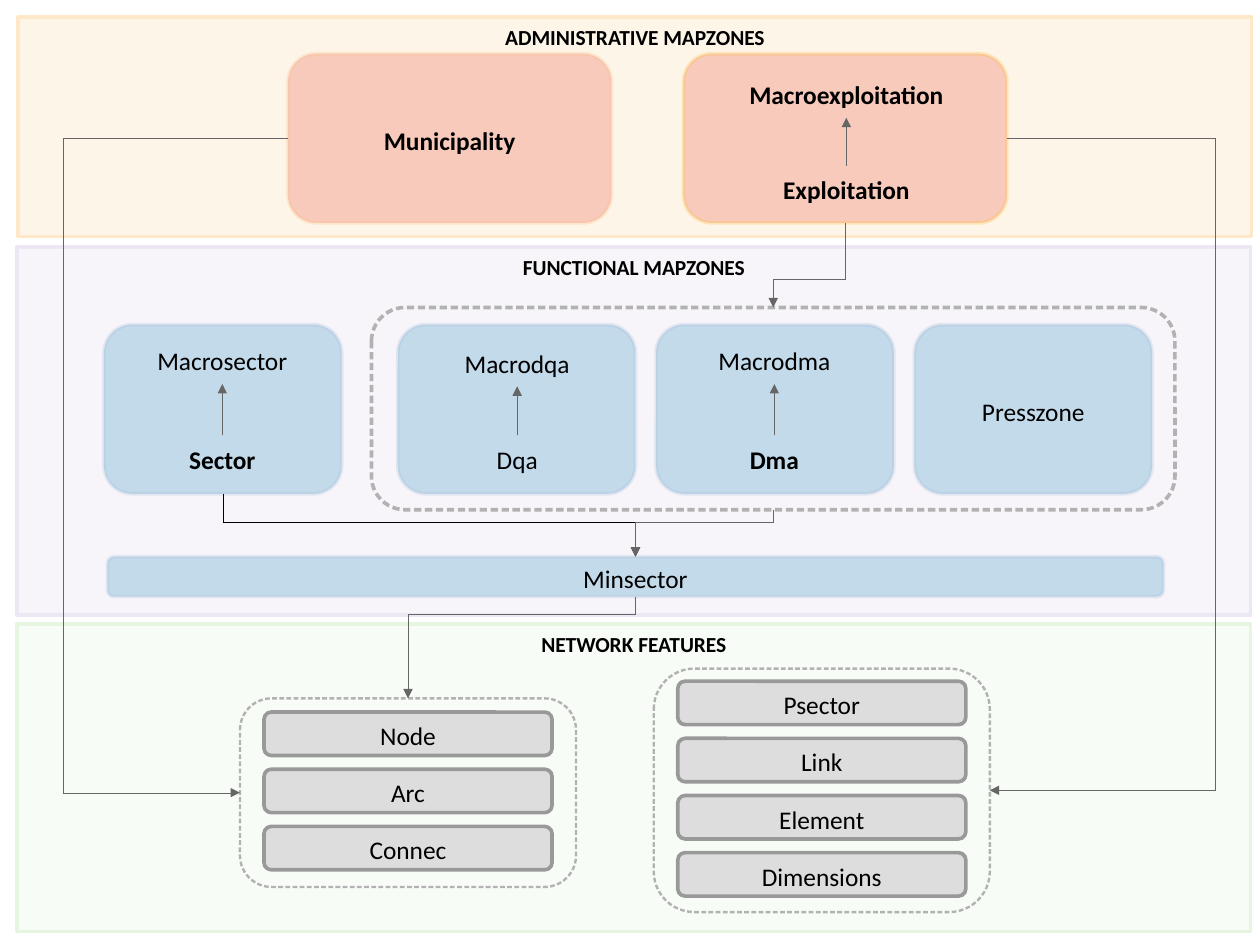
from lxml import etree
from pptx import Presentation
from pptx.dml.color import RGBColor
from pptx.enum.shapes import MSO_CONNECTOR, MSO_SHAPE
from pptx.enum.text import MSO_ANCHOR, PP_ALIGN
from pptx.oxml.ns import qn
from pptx.util import Inches, Pt

RECTANGLE, ROUNDED = MSO_SHAPE.RECTANGLE, MSO_SHAPE.ROUNDED_RECTANGLE
STRAIGHT, ELBOW = MSO_CONNECTOR.STRAIGHT, MSO_CONNECTOR.ELBOW
TOP, MIDDLE, CENTER = MSO_ANCHOR.TOP, MSO_ANCHOR.MIDDLE, PP_ALIGN.CENTER
TOP_SIDE, LEFT_SIDE, BOTTOM_SIDE, RIGHT_SIDE = range(4)

BLACK = RGBColor(0x00, 0x00, 0x00)
ARROW_GREY = RGBColor(0x66, 0x66, 0x66)
FRAME_GREY = RGBColor(0xB2, 0xB2, 0xB2)
FEATURE_FILL = RGBColor(0xDD, 0xDD, 0xDD)
FEATURE_LINE = RGBColor(0x99, 0x99, 0x99)
GREEN = RGBColor(0xE5, 0xF5, 0xE0)
CREAM = RGBColor(0xFE, 0xE8, 0xC8)
LILAC = RGBColor(0xEC, 0xE7, 0xF2)
RED = RGBColor(0xE3, 0x4A, 0x33)
ORANGE = RGBColor(0xFD, 0xBB, 0x84)
AMBER = RGBColor(0xFD, 0xBB, 0x33)
BLUE = RGBColor(0x2B, 0x8C, 0xBE)
PALE_BLUE = RGBColor(0xA6, 0xBD, 0xDB)

deck = Presentation()
deck.slide_width = Inches(28 / 2.54)
deck.slide_height = Inches(21 / 2.54)
page = deck.slides.add_slide(deck.slide_layouts[6])


def add_box(kind, place, fill, line, fill_alpha=100, line_alpha=100, width=2.3):
    box = page.shapes.add_shape(kind, *[Inches(length) for length in place])
    box.shadow.inherit = False
    box.text_frame.margin_top = Inches(0.08)
    box.line.color.rgb = line
    box.line.width = Pt(width)
    properties = box._element.spPr
    outline = properties.find(qn("a:ln"))
    if fill is None:
        box.fill.background()
        dashes = etree.SubElement(outline, qn("a:custDash"))
        dash = etree.SubElement(dashes, qn("a:ds"))
        dash.set("d", "200000")
        dash.set("sp", "100000")
    else:
        box.fill.solid()
        box.fill.fore_color.rgb = fill
    for parent, alpha in ((properties, fill_alpha), (outline, line_alpha)):
        if alpha < 100:
            color = parent.find(qn("a:solidFill")).find(qn("a:srgbClr"))
            etree.SubElement(color, qn("a:alpha")).set("val", str(alpha * 1000))
    return box


def write(box, text, size=16, bold=False, anchor=MIDDLE):
    frame = box.text_frame
    frame.word_wrap = anchor == MIDDLE
    frame.vertical_anchor = anchor
    para = frame.paragraphs[0]
    para.alignment = CENTER
    span = para.add_run()
    span.text = text
    span.font.name = "Calibri"
    span.font.size = Pt(size)
    span.font.bold = bold
    span.font.color.rgb = BLACK


bands = [
    ("NETWORK FEATURES", 0.15, 5.46, 2.69, GREEN, 25),
    ("ADMINISTRATIVE MAPZONES", 0.16, 0.15, 1.92, CREAM, 40),
    ("FUNCTIONAL MAPZONES", 0.15, 2.16, 3.22, LILAC, 40),
]
for heading, left, top, height, color, alpha in bands:
    band = add_box(RECTANGLE, (left, top, 10.79, height), color, color, alpha)
    band.text_frame.margin_top = Inches(0.06)
    write(band, heading, 13.5, True, TOP)

municipality = add_box(ROUNDED, (2.52, 0.47, 2.83, 1.48), RED, ORANGE, 25, 25)
write(municipality, "Municipality", bold=True)
exploitation = add_box(ROUNDED, (5.98, 0.47, 2.83, 1.48), RED, AMBER, 25, 25)
minsector = add_box(ROUNDED, (0.94, 4.87, 9.24, 0.35), BLUE, PALE_BLUE, 25, 25)
write(minsector, "Minsector")
sector, dqa, dma, presszone = [
    add_box(ROUNDED, (left, 2.84, 2.08, 1.48), BLUE, PALE_BLUE, 25, 25)
    for left in (0.91, 3.48, 5.74, 8)
]
write(presszone, "Presszone")
zone_frame = add_box(ROUNDED, (3.25, 2.69, 7.03, 1.77), None, FRAME_GREY)

routes = []
pairs = [
    (6.1, 2.61, ("Macroexploitation", 0.62, True), ("Exploitation", 1.45, True)),
    (0.99, 1.91, ("Macrosector", 2.95, False), ("Sector", 3.81, True)),
    (3.57, 1.91, ("Macrodqa", 2.97, False), ("Dqa", 3.81, False)),
    (5.82, 1.91, ("Macrodma", 2.95, False), ("Dma", 3.81, True)),
]
for left, width, *labels in pairs:
    ends = []
    for text, top, bold in labels:
        label = page.shapes.add_textbox(Inches(left), Inches(top), Inches(width), Inches(0.41))
        write(label, text, bold=bold)
        ends.append(label)
    routes.append((ends[1], TOP_SIDE, ends[0], BOTTOM_SIDE, None, ARROW_GREY))

feature_groups = [
    ((2.1, 6.11, 2.94, 1.65), 6.23, ("Node", "Arc", "Connec")),
    ((5.72, 5.85, 2.94, 2.13), 5.96, ("Psector", "Link", "Element", "Dimensions")),
]
feature_frames = []
for place, first_top, features in feature_groups:
    for row, feature in enumerate(features):
        bar = add_box(ROUNDED, (place[0] + 0.21, first_top + 0.5 * row, 2.52, 0.38),
                      FEATURE_FILL, FEATURE_LINE)
        write(bar, feature)
    feature_frames.append(add_box(ROUNDED, place, None, FRAME_GREY, width=1.5))
node_frame, psector_frame = feature_frames

routes += [
    (exploitation, BOTTOM_SIDE, zone_frame, TOP_SIDE, 2.44, ARROW_GREY),
    (minsector, BOTTOM_SIDE, node_frame, TOP_SIDE, 5.37, ARROW_GREY),
    (municipality, LEFT_SIDE, node_frame, LEFT_SIDE, 0.55, ARROW_GREY),
    (exploitation, RIGHT_SIDE, psector_frame, RIGHT_SIDE, 10.63, ARROW_GREY),
    (sector, BOTTOM_SIDE, minsector, TOP_SIDE, 4.57, BLACK),
    (zone_frame, BOTTOM_SIDE, minsector, TOP_SIDE, 4.57, ARROW_GREY),
]
for source, source_side, target, target_side, bend, color in routes:
    arrow = page.shapes.add_connector(STRAIGHT if bend is None else ELBOW, 0, 0, 0, 0)
    arrow.begin_connect(source, source_side)
    arrow.end_connect(target, target_side)
    arrow.line.color.rgb = color
    properties = arrow._element.spPr
    outline = properties.find(qn("a:ln"))
    outline.set("w", "0")
    etree.SubElement(outline, qn("a:tailEnd")).set("type", "triangle")
    etree.SubElement(properties, qn("a:effectLst"))
    if bend is None:
        continue
    start_x, start_y, end_x, end_y = arrow.begin_x, arrow.begin_y, arrow.end_x, arrow.end_y
    start, end = start_x, end_x
    if source_side == BOTTOM_SIDE:
        start, end = start_y, end_y
        run, rise = end_y - start_y, abs(end_x - start_x)
        arrow.left = (start_x + end_x - run) // 2
        arrow.top = (start_y + end_y - rise) // 2
        arrow.width, arrow.height = run, rise
        turn = properties.find(qn("a:xfrm"))
        turn.set("rot", str((90 if end_x < start_x else 270) * 60000))
        turn.set("flipH", "0" if end_x < start_x else "1")
    geometry = properties.find(qn("a:prstGeom"))
    guide = etree.SubElement(geometry.find(qn("a:avLst")), qn("a:gd"))
    guide.set("name", "adj1")
    guide.set("fmla", f"val {round((Inches(bend) - start) / (end - start) * 100000)}")

deck.save("out.pptx")
